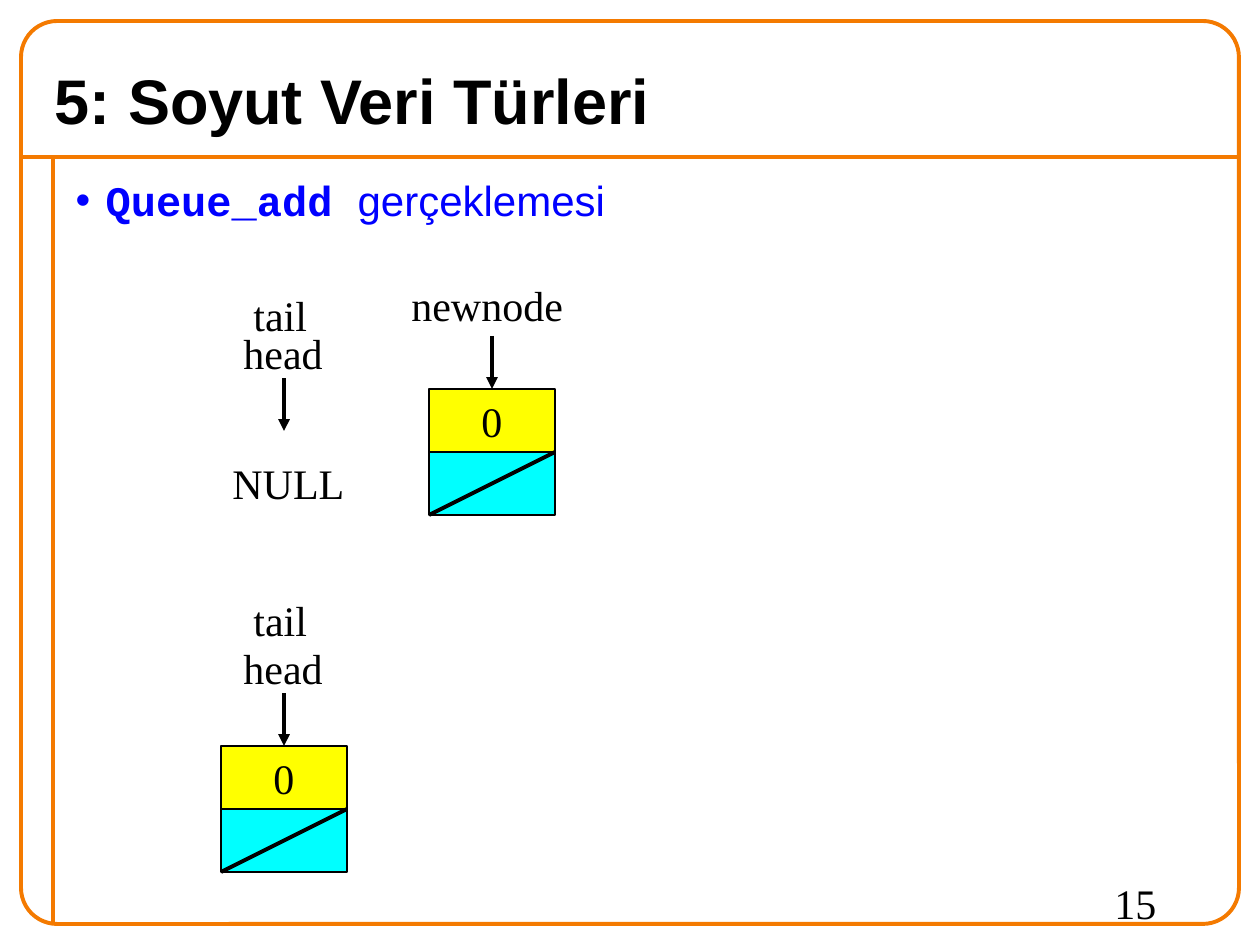
"""Build the Queue_add slide: an empty queue, a new node and the queue after adding it."""
from lxml.etree import SubElement
from pptx import Presentation
from pptx.dml.color import RGBColor
from pptx.enum.shapes import MSO_CONNECTOR as CONN, MSO_SHAPE as SHAPE
from pptx.enum.text import MSO_ANCHOR as ANCHOR, MSO_AUTO_SIZE as AUTO, PP_ALIGN as ALIGN
from pptx.oxml.ns import qn
from pptx.util import Pt

PX = 914400 / 126
WIDTH, HEIGHT = 1260, 945
ORANGE, BLUE, BLACK, YELLOW, CYAN = "F47A00", "0000FF", "000000", "FFFF00", "00FFFF"
SERIF, SANS, MONO = "Times New Roman", "Arial", "Courier New"

TITLE = "5: Soyut Veri Türleri"
BULLET = [("Queue_add ", MONO, True), ("gerçeklemesi", SANS, False)]
FRAME = (21, 21, 1218, 903)
RULES = [(21, 157, 1239, 157), (53, 157, 53, 924)]
LABELS = [
    ("tail", 241, 283, 79),
    ("head", 231, 321, 105),
    ("NULL", 220, 451, 138),
    ("newnode", 399, 273, 177),
    ("tail", 241, 588, 79),
    ("head", 231, 636, 105),
]
PAGE = ("15", 1102, 871, 126)
ARROWS = [(284, 378), (492, 336), (284, 693)]
ARROW_LENGTH = 53
NODES = [("0", 429, 389), ("0", 221, 746)]
CELL_W, CELL_H = 126, 63


def emu(*lengths):
    return [round(n * PX) for n in lengths]


def rgb(value):
    return RGBColor.from_string(value)


def add_run(p, text, font=SERIF, size=24, color=BLACK, bold=False):
    r = p.add_run()
    r.text = text
    r.font.name, r.font.size, r.font.bold = font, Pt(size), bold
    r.font.color.rgb = rgb(color)


def place(sp, *box):
    sp.left, sp.top, sp.width, sp.height = emu(*box)
    sp.text_frame.auto_size = AUTO.NONE
    return sp.text_frame


def add_box(s, kind, box, fill, line, weight):
    sp = s.shapes.add_shape(kind, *emu(*box))
    sp.shadow.inherit = False
    if fill:
        sp.fill.solid()
        sp.fill.fore_color.rgb = rgb(fill)
    else:
        sp.fill.background()
    sp.line.color.rgb, sp.line.width = rgb(line), Pt(weight)
    return sp


def add_line(s, ends, color=BLACK, arrow=False):
    cn = s.shapes.add_connector(CONN.STRAIGHT, *emu(*ends))
    cn.line.color.rgb, cn.line.width = rgb(color), Pt(2.25)
    if arrow:
        SubElement(cn.line._get_or_add_ln(), qn("a:tailEnd"), type="triangle")
    SubElement(cn._element.spPr, qn("a:effectLst"))


def add_label(s, text, x, y, w, grow=True):
    tf = s.shapes.add_textbox(*emu(x, y, w, CELL_H)).text_frame
    tf.word_wrap = not grow
    tf.auto_size = AUTO.SHAPE_TO_FIT_TEXT if grow else AUTO.NONE
    add_run(tf.paragraphs[0], text)


def add_node(s, text, x, y):
    middle = y + CELL_H
    add_box(s, SHAPE.RECTANGLE, (x, middle, CELL_W, CELL_H), CYAN, BLACK, 0.75)
    sp = add_box(s, SHAPE.RECTANGLE, (x, y, CELL_W, CELL_H), YELLOW, BLACK, 0.75)
    tf = sp.text_frame
    tf.word_wrap, tf.vertical_anchor = False, ANCHOR.MIDDLE
    p = tf.paragraphs[0]
    p.alignment = ALIGN.CENTER
    add_run(p, text)
    add_line(s, (x + CELL_W, middle, x, middle + CELL_H))


def fill_title(s):
    tf = place(s.shapes.title, 42, 52, 1176, 95)
    tf.vertical_anchor = ANCHOR.MIDDLE
    p = tf.paragraphs[0]
    p.alignment = ALIGN.LEFT
    add_run(p, TITLE, SANS, 36, bold=True)


def fill_body(s):
    p = place(s.placeholders[1], 63, 168, 1166, 756).paragraphs[0]
    p.space_before = Pt(15)
    pPr = p._p.get_or_add_pPr()
    indent, = emu(30)
    pPr.set("marL", str(indent))
    pPr.set("indent", str(-indent))
    SubElement(SubElement(pPr, qn("a:buClr")), qn("a:srgbClr"), val=BLUE)
    SubElement(pPr, qn("a:buFont"), typeface=SANS)
    SubElement(pPr, qn("a:buChar"), char="•")
    for text, font, bold in BULLET:
        add_run(p, text, font, color=BLUE, bold=bold)


def main():
    prs = Presentation()
    prs.slide_width, prs.slide_height = emu(WIDTH, HEIGHT)
    s = prs.slides.add_slide(prs.slide_layouts[1])
    for ends in RULES:
        add_line(s, ends, ORANGE)
    frame = add_box(s, SHAPE.ROUNDED_RECTANGLE, FRAME, None, ORANGE, 2.25)
    frame.adjustments[0] = 0.04
    fill_title(s)
    fill_body(s)
    for node in NODES:
        add_node(s, *node)
    for x, y in ARROWS:
        add_line(s, (x, y, x, y + ARROW_LENGTH), arrow=True)
    for label in LABELS:
        add_label(s, *label)
    add_label(s, *PAGE, grow=False)
    prs.save("out.pptx")


if __name__ == "__main__":
    main()
